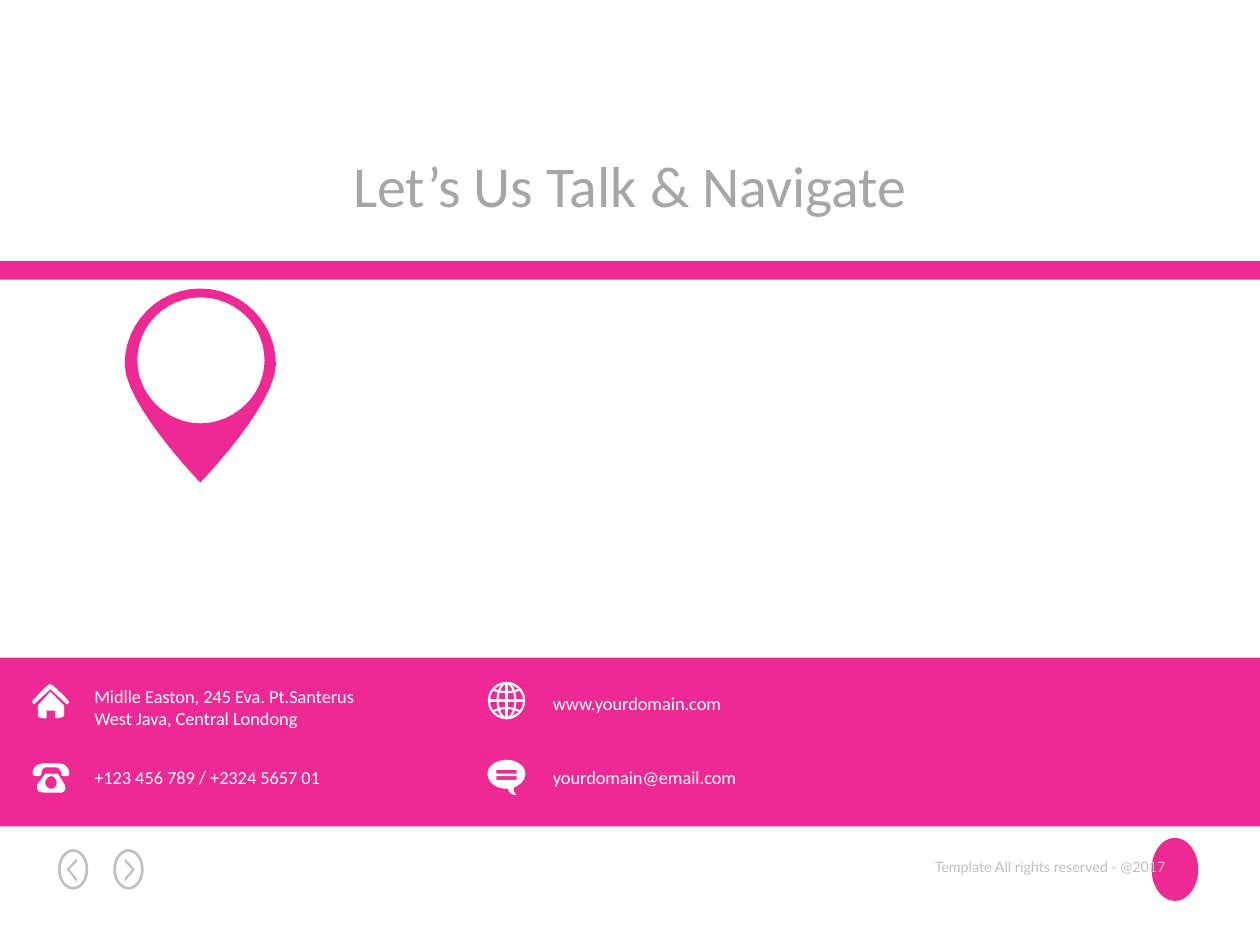
"""Build the contact slide with a map pin, an icon band and a footer."""
import pptx
import pptx.util
import pptx.dml.color
import pptx.enum.shapes
import pptx.enum.text
import pptx.oxml.ns
import lxml.etree

Inches, Pt = pptx.util.Inches, pptx.util.Pt
RGB = pptx.dml.color.RGBColor.from_string
SHAPE = pptx.enum.shapes.MSO_SHAPE
ALIGN = pptx.enum.text.PP_ALIGN
NO_FIT = pptx.enum.text.MSO_AUTO_SIZE.NONE
MIDDLE = pptx.enum.text.MSO_ANCHOR.MIDDLE
COLORS = {"pink": "EF2994", "white": "FFFFFF", "title": "A6A6A6", "footer": "BFBFBF"}

prs = pptx.Presentation()
prs.slide_width, prs.slide_height = Inches(10), Inches(7.5)
s = prs.slides.add_slide(prs.slide_layouts[5])


def add_preset(kind, box, fill=None, line=None, width=1):
    """Add a preset shape with a plain fill, a plain outline, or both."""
    sp = s.shapes.add_shape(kind, *[Inches(v) for v in box])
    sp.shadow.inherit = False
    if fill:
        sp.fill.solid()
        sp.fill.fore_color.rgb = RGB(COLORS[fill])
    else:
        sp.fill.background()
    if line:
        sp.line.color.rgb = RGB(COLORS[line])
        sp.line.width = Pt(width)
    else:
        sp.line.fill.background()
    return sp


def add_outline(contours, color, closed=True):
    """Draw contours of points (x, y) and cubic curves (x1, y1, x2, y2, x, y)."""
    builder = None
    for start, *segments in contours:
        x, y = start
        if builder is None:
            builder = s.shapes.build_freeform(Inches(x), Inches(y), scale=1.0)
        else:
            builder.move_to(Inches(x), Inches(y))
        points = []
        for seg in segments:
            if len(seg) == 2:
                points.append(seg)
            else:
                x1, y1, x2, y2, x3, y3 = seg
                for t in [i / 12 for i in range(1, 13)]:
                    a, b, c, d = (1 - t) ** 3, 3 * t * (1 - t) ** 2, 3 * t * t * (1 - t), t ** 3
                    points.append((a * x + b * x1 + c * x2 + d * x3,
                                   a * y + b * y1 + c * y2 + d * y3))
            x, y = seg[-2:]
        builder.add_line_segments([(Inches(px), Inches(py)) for px, py in points], close=closed)
    sp = builder.convert_to_shape()
    sp.shadow.inherit = False
    if closed:
        sp.fill.solid()
        sp.fill.fore_color.rgb = RGB(COLORS[color])
        sp.line.fill.background()
    else:
        sp.fill.background()
        sp.line.color.rgb = RGB(COLORS[color])
        sp.line.width = Pt(1.25)


title = s.shapes.title
title.left, title.top, title.width, title.height = [Inches(v) for v in (2.44, 1.13, 5.12, 0.66)]
tf = title.text_frame
tf.text = "Let’s Us Talk & Navigate"
tf.word_wrap = False
tf.auto_size = NO_FIT
tf.vertical_anchor = MIDDLE
p = tf.paragraphs[0]
p.alignment = ALIGN.CENTER
p.font.name, p.font.size = "Calibri", Pt(33)
p.font.color.rgb = RGB(COLORS["title"])

for center, direction in ((0.58, 1), (1.02, -1)):
    add_preset(SHAPE.OVAL, (center - 0.11, 6.75, 0.22, 0.3), line="footer", width=1.5)
    chevron = [(0.03, 6.84), (-0.03, 6.9), (0.03, 6.97), (0.03, 7), (-0.05, 6.9), (0.03, 6.81)]
    add_outline([[(center + direction * dx, y) for dx, y in chevron]], "footer")

add_preset(SHAPE.OVAL, (9.14, 6.65, 0.37, 0.5), fill="pink")
add_preset(SHAPE.RECTANGLE, (0, 5.22, 10, 1.34), fill="pink")
add_preset(SHAPE.RECTANGLE, (0, 2.07, 10, 0.15), fill="pink")

glass = add_preset(SHAPE.OVAL, (1.08, 2.35, 1.02, 1.02), fill="white")
glass_color = next(glass.element.spPr.iter(pptx.oxml.ns.qn("a:srgbClr")))
lxml.etree.SubElement(glass_color, pptx.oxml.ns.qn("a:alpha"), val="40000")
add_outline([
    [(1.59, 2.29), (1.26, 2.29, 0.99, 2.56, 0.99, 2.89), (0.99, 3.21, 1.59, 3.83, 1.59, 3.83),
     (1.59, 3.83, 2.19, 3.21, 2.19, 2.89), (2.19, 2.56, 1.92, 2.29, 1.59, 2.29)],
    [(1.59, 3.36), (1.32, 3.36, 1.09, 3.13, 1.09, 2.86), (1.09, 2.58, 1.32, 2.36, 1.59, 2.36),
     (1.87, 2.36, 2.1, 2.58, 2.1, 2.86), (2.1, 3.13, 1.87, 3.36, 1.59, 3.36)],
], "pink")

handset = [[(0.55, 6.13), (0.54, 6.06, 0.47, 6.06, 0.47, 6.06), (0.34, 6.06),
            (0.34, 6.06, 0.27, 6.06, 0.26, 6.13), (0.26, 6.16, 0.28, 6.16, 0.28, 6.16),
            (0.31, 6.16), (0.33, 6.16, 0.33, 6.13, 0.33, 6.13),
            (0.33, 6.12, 0.34, 6.09, 0.37, 6.09), (0.44, 6.09),
            (0.47, 6.09, 0.48, 6.12, 0.49, 6.13), (0.49, 6.13, 0.48, 6.16, 0.5, 6.16),
            (0.54, 6.16), (0.54, 6.16, 0.55, 6.16, 0.55, 6.13)]]
phone = [[(0.51, 6.22), (0.46, 6.14), (0.36, 6.14), (0.3, 6.22),
          (0.3, 6.22, 0.27, 6.29, 0.35, 6.29), (0.49, 6.29),
          (0.49, 6.29, 0.54, 6.28, 0.51, 6.22)],
         [(0.41, 6.26), (0.38, 6.26, 0.36, 6.24, 0.36, 6.21),
          (0.36, 6.19, 0.38, 6.16, 0.41, 6.16), (0.43, 6.16, 0.45, 6.19, 0.45, 6.21),
          (0.45, 6.24, 0.43, 6.26, 0.41, 6.26)]]
house = [[(0.51, 5.6), (0.4, 5.49), (0.3, 5.6), (0.3, 5.67),
          (0.3, 5.71, 0.37, 5.7, 0.37, 5.7), (0.37, 5.64), (0.44, 5.64), (0.44, 5.7),
          (0.52, 5.7, 0.51, 5.67, 0.51, 5.67)]]
roof = [[(0.54, 5.56), (0.53, 5.54, 0.42, 5.44, 0.42, 5.44),
         (0.42, 5.44, 0.4, 5.42, 0.38, 5.44), (0.35, 5.46, 0.27, 5.55, 0.27, 5.55),
         (0.27, 5.55, 0.24, 5.57, 0.27, 5.59), (0.4, 5.47), (0.53, 5.59),
         (0.53, 5.59, 0.56, 5.58, 0.54, 5.56)]]
bubble = [[(4.17, 6.14), (4.17, 6.08, 4.1, 6.03, 4.02, 6.03),
           (3.94, 6.03, 3.87, 6.08, 3.87, 6.14), (3.87, 6.21, 3.94, 6.26, 4.02, 6.26),
           (4.03, 6.26), (4.04, 6.28, 4.05, 6.31, 4.1, 6.31),
           (4.09, 6.3, 4.07, 6.28, 4.08, 6.25), (4.13, 6.23, 4.17, 6.19, 4.17, 6.14)]]
bubble += [[(3.94, y), (4.1, y), (4.1, y + 0.03), (3.94, y + 0.03)] for y in (6.11, 6.16)]
for icon in (handset, phone, house, roof, bubble):
    add_outline(icon, "white")

for left, width in ((3.88, 0.28), (3.95, 0.14)):
    add_preset(SHAPE.OVAL, (left, 5.42, width, 0.28), line="white", width=1.25)
for grid_line in ([(4.02, 5.42), (4.02, 5.7)],
                  [(3.88, 5.56), (4.16, 5.56)],
                  [(3.91, 5.47), (3.97, 5.5, 4.07, 5.5, 4.13, 5.47)],
                  [(3.91, 5.65), (3.97, 5.61, 4.07, 5.61, 4.13, 5.65)]):
    add_outline([grid_line], "white", closed=False)

white_text = ("Calibri", 10.5, "white", ALIGN.LEFT)
for text, box, style in (
    ("Midlle Easton, 245 Eva. Pt.Santerus\nWest Java, Central Londong",
     (0.65, 5.39, 2.5, 0.45), white_text),
    ("+123 456 789 / +2324 5657 01", (0.65, 6.03, 2.32, 0.28), white_text),
    ("yourdomain@email.com", (4.29, 6.03, 1.7, 0.28), white_text),
    ("www.yourdomain.com", (4.29, 5.44, 1.63, 0.28), white_text),
    ("Template All rights reserved - @2017", (7.25, 6.76, 2.1, 0.24),
     ("Lato", 8.2, "footer", ALIGN.RIGHT)),
):
    name, size, color, align = style
    tf = s.shapes.add_textbox(*[Inches(v) for v in box]).text_frame
    tf.text = text
    tf.word_wrap = "\n" in text
    for p in tf.paragraphs:
        p.alignment = align
        p.font.name, p.font.size = name, Pt(size)
        p.font.color.rgb = RGB(COLORS[color])

prs.save("out.pptx")
